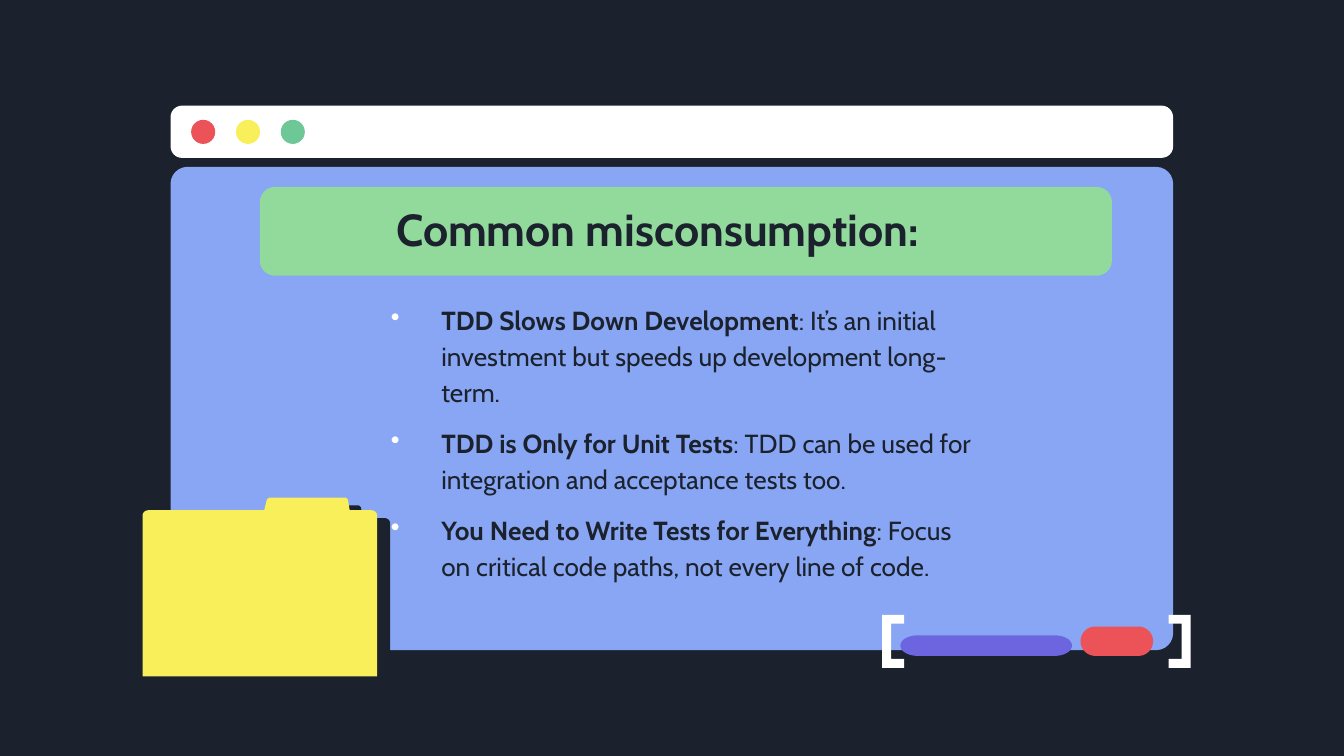
from math import cos, pi, sin

from lxml import etree
from pptx import Presentation
from pptx.dml.color import RGBColor
from pptx.enum.shapes import MSO_SHAPE
from pptx.enum.text import MSO_ANCHOR, MSO_AUTO_SIZE, PP_ALIGN
from pptx.oxml.ns import qn
from pptx.util import Pt

OVAL = MSO_SHAPE.OVAL
ROUND = MSO_SHAPE.ROUNDED_RECTANGLE
CENTER, LEFT = PP_ALIGN.CENTER, PP_ALIGN.LEFT
MIDDLE, TOP = MSO_ANCHOR.MIDDLE, MSO_ANCHOR.TOP
FONT = "Cabin"
HEX = {"dark": "1B222D", "white": "FFFFFF", "red": "EB5358", "yellow": "F8EF5B",
       "teal": "6DC797", "blue": "88A6F3", "green": "92D99C", "violet": "6D65E0"}
MYTHS = [
    ("TDD Slows Down Development",
     ": It’s an initial investment but speeds up development long-term."),
    ("TDD is Only for Unit Tests",
     ": TDD can be used for integration and acceptance tests too."),
    ("You Need to Write Tests for Everything",
     ": Focus on critical code paths, not every line of code."),
]


def rgb(name):
    return RGBColor.from_string(HEX[name])


def paint(shape, color):
    shape.shadow.inherit = False
    shape.fill.solid()
    shape.fill.fore_color.rgb = rgb(color)
    shape.line.fill.background()
    return shape


def add_box(slide, kind, box, color, adj=None):
    shape = slide.shapes.add_shape(kind, *map(Pt, box))
    if adj is not None:
        shape.adjustments[0] = adj
    return paint(shape, color)


def add_outline(slide, points, color):
    ends = [(Pt(x), Pt(y)) for x, y in points]
    pen = slide.shapes.build_freeform(*ends[0])
    pen.add_line_segments(ends[1:], close=True)
    return paint(pen.convert_to_shape(), color)


def arc(x, y, rx, ry, start, steps=10):
    """Points of a clockwise quarter turn about (x, y), from start quarters."""
    turns = [(start + i / steps) * pi / 2 for i in range(steps + 1)]
    return [(x + rx * cos(t), y + ry * sin(t)) for t in turns]


def add_pill(slide, left, top, width, height, rx, color):
    ry = height / 2
    far, near, mid = left + width - rx, left + rx, top + ry
    points = [p for turn, x in ((3, far), (0, far), (1, near), (2, near))
              for p in arc(x, mid, rx, ry, turn)]
    add_outline(slide, points, color)


def add_bracket(slide, spine, reach):
    """Draw a bracket with its outer edge at spine, its arms going by reach."""
    top, low, thick = 329.4, 357.8, 4.8
    tip = spine + reach
    inner = spine + (thick if reach > 0 else -thick)
    add_outline(slide, [(spine, top), (tip, top), (tip, top + thick),
                        (inner, top + thick), (inner, low - thick),
                        (tip, low - thick), (tip, low), (spine, low)], "white")


def add_shadow(shape, color, dist, angle):
    props = shape.element.spPr
    effects = props.find(qn("a:effectLst"))
    shadow = etree.SubElement(effects, qn("a:outerShdw"), blurRad="0",
                              dist=str(Pt(dist)), dir=str(angle * 60000),
                              algn="bl", rotWithShape="0")
    etree.SubElement(shadow, qn("a:srgbClr"), val=HEX[color])


def add_folder(slide):
    left, right, tab, top, low, curve = 76.4, 202.1, 266.6, 273.4, 362.4, 3
    points = [(left, low), *arc(left + curve, top + curve, curve, curve, 2),
              (141.6, top), (143, 267.6), (144.2, tab), (185.3, tab),
              (186.4, 267.6), (187.4, top),
              *arc(right - curve, top + curve, curve, curve, 3), (right, low)]
    add_shadow(add_outline(slide, points, "yellow"), "dark", 8.2, 31)


def write(para, text, size=14, color="dark", bold=False):
    run = para.add_run()
    run.text = text
    font = run.font
    font.name, font.size, font.bold = FONT, Pt(size), bold
    font.color.rgb = rgb(color)


def set_frame(frame, anchor):
    frame.word_wrap = True
    frame.auto_size = MSO_AUTO_SIZE.NONE
    frame.vertical_anchor = anchor
    frame.margin_left = frame.margin_right = Pt(7.2)
    frame.margin_top = frame.margin_bottom = Pt(7.2)


def set_bullet(para, indent, color):
    props = para._p.get_or_add_pPr()
    props.set("marL", str(Pt(indent)))
    props.set("indent", str(Pt(-indent)))
    tint = etree.SubElement(props, qn("a:buClr"))
    etree.SubElement(tint, qn("a:srgbClr"), val=HEX[color])
    etree.SubElement(props, qn("a:buChar"), char="•")


def add_myths(slide):
    box = slide.shapes.add_textbox(Pt(202.3), Pt(153.4), Pt(332.6), Pt(126))
    frame = box.text_frame
    set_frame(frame, TOP)
    for i, (claim, reply) in enumerate(MYTHS):
        para = frame.add_paragraph() if i else frame.paragraphs[0]
        para.alignment = LEFT
        para.line_spacing = 1.15
        para.space_after = Pt(8)
        set_bullet(para, 27, "white")
        write(para, claim, bold=True)
        write(para, reply)


def set_title(slide, text):
    title = slide.shapes.title
    title.left, title.top, title.width, title.height = map(
        Pt, (185.8, 98.6, 332.6, 47.5))
    set_frame(title.text_frame, MIDDLE)
    para = title.text_frame.paragraphs[0]
    para.alignment = CENTER
    write(para, text, size=24, bold=True)
    # Bring the title in front of its banner
    slide.shapes.element.append(title.element)


def add_window(slide):
    add_box(slide, ROUND, (91.4, 56.6, 537.1, 28), "white", 0.22)
    for i, color in enumerate(("red", "yellow", "teal")):
        add_box(slide, OVAL, (102.4 + 24 * i, 64.2, 12.9, 12.9), color)
    add_box(slide, ROUND, (91.4, 89.4, 537.1, 258.9), "blue", 0.035)


def main():
    deck = Presentation()
    deck.slide_width, deck.slide_height = Pt(720), Pt(405)
    slide = deck.slides.add_slide(deck.slide_layouts[5])
    slide.background.fill.solid()
    slide.background.fill.fore_color.rgb = rgb("dark")
    add_window(slide)
    add_folder(slide)
    add_myths(slide)
    add_bracket(slide, 472.6, 11.7)
    add_pill(slide, 482.4, 340.4, 91.9, 11, 9.2, "violet")
    add_pill(slide, 578.9, 335.7, 38.9, 15.7, 7.85, "red")
    add_bracket(slide, 637.8, -11.7)
    add_box(slide, ROUND, (139.2, 100.2, 456.5, 47.5), "green", 0.17)
    set_title(slide, "Common misconsumption:")
    deck.save("out.pptx")


if __name__ == "__main__":
    main()
